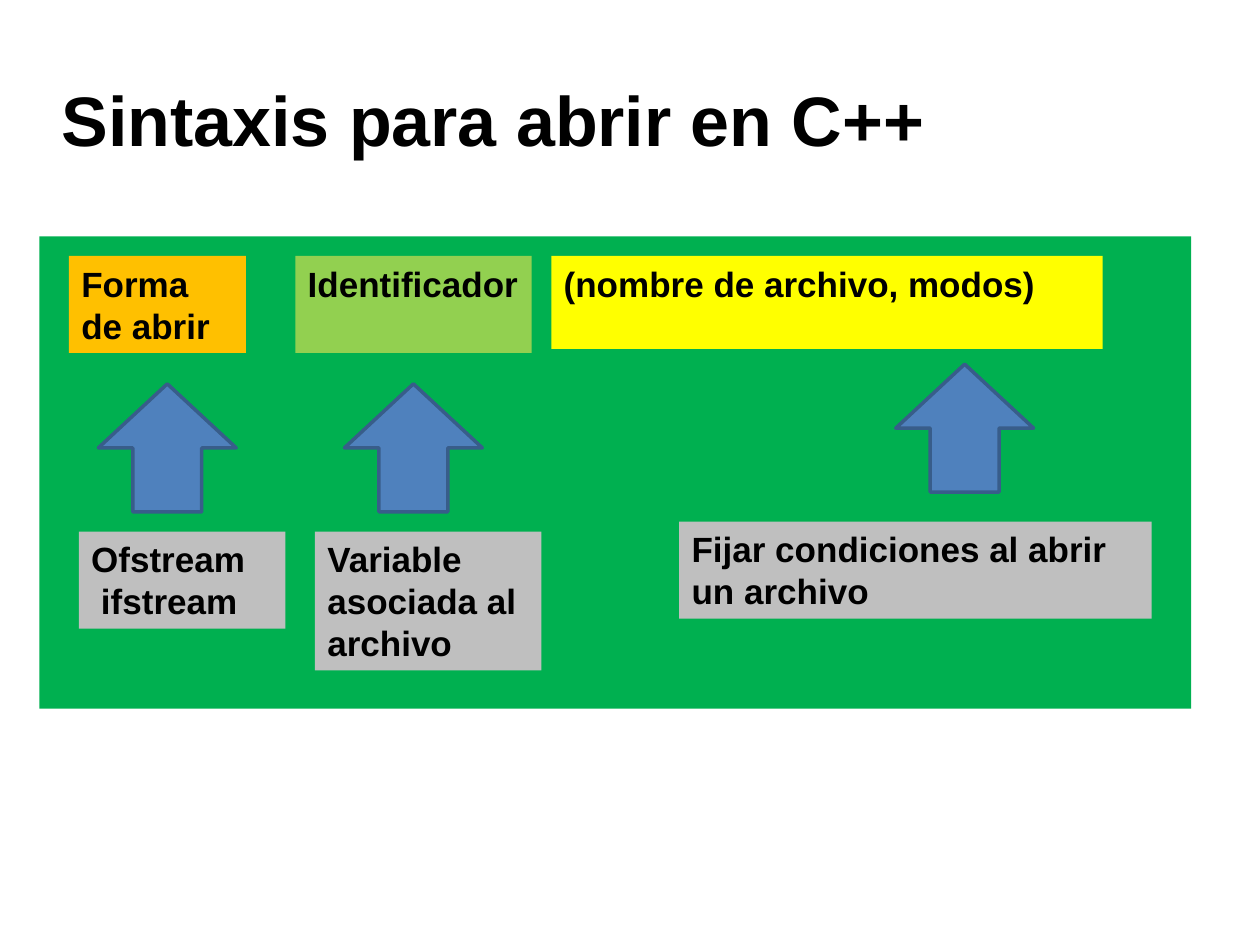
from dataclasses import dataclass

from pptx import Presentation
from pptx.dml.color import RGBColor
from pptx.enum.shapes import MSO_SHAPE
from pptx.enum.text import MSO_ANCHOR, PP_ALIGN
from pptx.util import Inches, Pt


@dataclass(frozen=True)
class Theme:
    font: str = "Arial"
    title_size: int = 40
    label_size: int = 20
    text: str = "000000"
    panel: str = "00B050"
    orange: str = "FFC000"
    lime: str = "92D050"
    yellow: str = "FFFF00"
    gray: str = "BFBFBF"
    arrow: str = "4F81BD"
    arrow_line: str = "385D8A"


def write_text(frame, lines, *, theme, size, anchor=MSO_ANCHOR.TOP, indents=()):
    """Write one bold paragraph per line; indents holds left margins by line."""
    frame.word_wrap = True
    frame.vertical_anchor = anchor
    frame.margin_left = frame.margin_right = Inches(0.1)
    frame.margin_top = frame.margin_bottom = Inches(0.05)
    for index, line in enumerate(lines):
        paragraph = frame.paragraphs[0] if index == 0 else frame.add_paragraph()
        paragraph.alignment = PP_ALIGN.LEFT
        if index < len(indents):
            paragraph._p.get_or_add_pPr().set("marL", str(indents[index]))
        run = paragraph.add_run()
        run.text = line
        run.font.name = theme.font
        run.font.size = Pt(size)
        run.font.bold = True
        run.font.color.rgb = RGBColor.from_string(theme.text)


class SlideBuilder:
    """Places elements on a grid of 128 columns by 96 rows."""

    def __init__(self, presentation, theme):
        self.theme = theme
        self.column = presentation.slide_width / 128
        self.row = presentation.slide_height / 96
        self.slide = presentation.slides.add_slide(presentation.slide_layouts[6])

    def place(self, left, top, width, height):
        return (round(left * self.column), round(top * self.row),
                round(width * self.column), round(height * self.row))

    def title(self, text, *area):
        box = self.slide.shapes.add_textbox(*self.place(*area))
        write_text(box.text_frame, [text], theme=self.theme,
                   size=self.theme.title_size, anchor=MSO_ANCHOR.MIDDLE)

    def filled_shape(self, kind, color, *area):
        shape = self.slide.shapes.add_shape(kind, *self.place(*area))
        shape.shadow.inherit = False
        shape.fill.solid()
        shape.fill.fore_color.rgb = RGBColor.from_string(color)
        shape.line.fill.background()
        return shape

    def panel(self, *area):
        self.filled_shape(MSO_SHAPE.RECTANGLE, self.theme.panel, *area)

    def label(self, lines, color, *area, indents=()):
        shape = self.filled_shape(MSO_SHAPE.RECTANGLE, color, *area)
        write_text(shape.text_frame, lines, theme=self.theme,
                   size=self.theme.label_size,
                   indents=[round(indent * self.column) for indent in indents])

    def up_arrow(self, left, top):
        shape = self.filled_shape(MSO_SHAPE.UP_ARROW, self.theme.arrow,
                                  left, top, 14, 13)
        shape.line.color.rgb = RGBColor.from_string(self.theme.arrow_line)
        shape.line.width = Pt(2)


def main():
    presentation = Presentation()
    presentation.slide_width = Inches(10)
    presentation.slide_height = Inches(7.5)
    theme = Theme()
    builder = SlideBuilder(presentation, theme)

    # Background panel and title
    builder.panel(4, 24, 117, 48)
    builder.title("Sintaxis para abrir en C++", 5, 4, 115, 16)

    # Parts of the statement
    builder.label(["Forma de abrir"], theme.orange, 7, 26, 18, 9.85)
    builder.label(["Identificador"], theme.lime, 30, 26, 24, 9.85)
    builder.label(["(nombre de archivo, modos)"], theme.yellow, 56, 26, 56, 9.45)

    # Arrows from each explanation to its part
    for left, top in ((10, 39), (35, 39), (91, 37)):
        builder.up_arrow(left, top)

    # Explanations
    builder.label(["Ofstream", "ifstream"], theme.gray, 8, 54, 21, 9.85,
                  indents=(0, 1))
    builder.label(["Variable asociada al archivo"], theme.gray, 32, 54, 23, 14.1)
    builder.label(["Fijar condiciones al abrir un archivo"], theme.gray,
                  69, 53, 48, 9.85)

    presentation.save("out.pptx")


if __name__ == "__main__":
    main()
